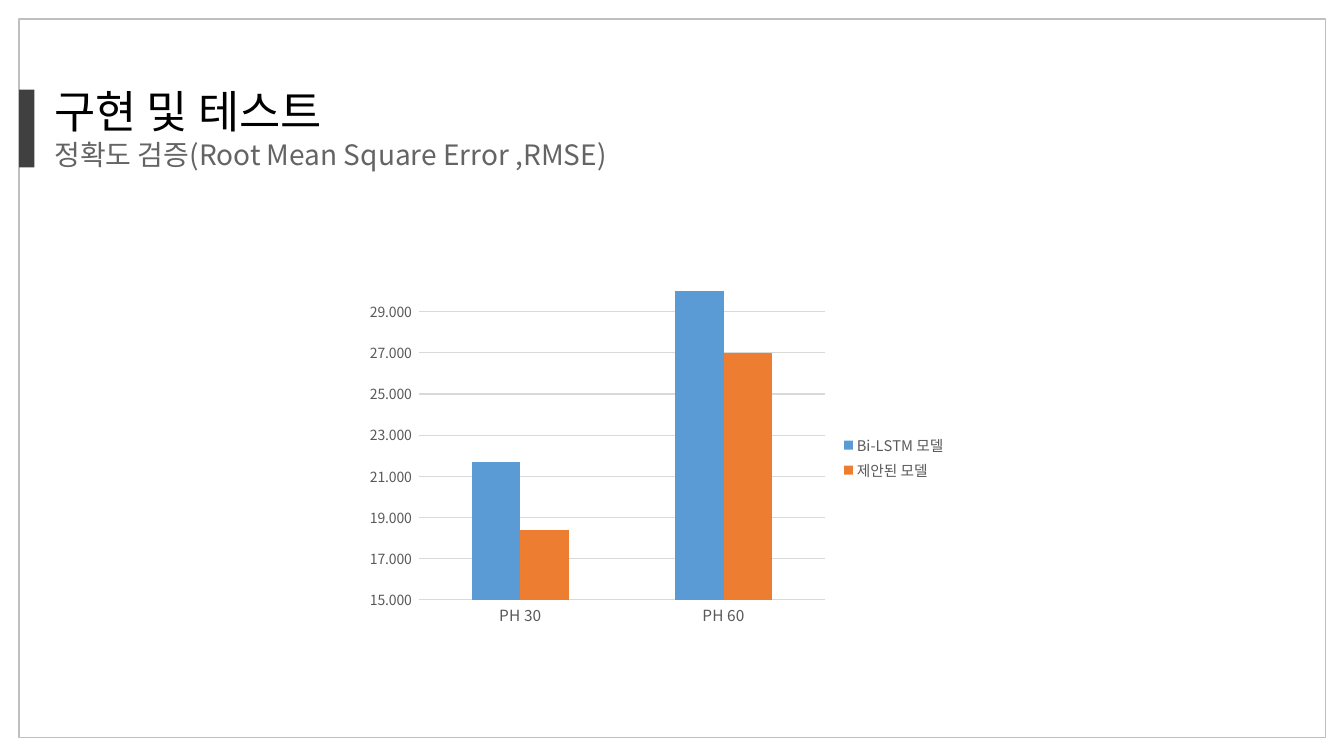
from dataclasses import dataclass

from lxml import etree
from pptx import Presentation
from pptx import util as u
from pptx.chart import data as cd
from pptx.dml.color import RGBColor
from pptx.enum import chart as ec
from pptx.enum import shapes, text
from pptx.oxml import parse_xml
from pptx.oxml.ns import nsdecls, qn


@dataclass(frozen=True)
class Theme:
    font: str = "Noto Sans CJK KR"
    black: str = "000000"
    dark: str = "404040"
    gray: str = "646464"
    label: str = "595959"
    frame: str = "BFBFBF"
    grid: str = "D9D9D9"
    title: float = 32
    sub: float = 20
    cat: float = 11
    val: float = 10
    legend: float = 10.5


@dataclass(frozen=True)
class Box:
    x: float
    y: float
    w: float
    h: float
    fill: str = ""
    line: str = ""

    def place(self) -> tuple:
        return tuple(u.Inches(n) for n in (self.x, self.y, self.w, self.h))


@dataclass(frozen=True)
class Line:
    words: str
    size: float
    color: str


@dataclass(frozen=True)
class Series:
    name: str
    vals: tuple
    color: str


THEME = Theme()
BOXES = (
    Box(0.19, 0.19, 12.96, 7.13, line=THEME.frame),
    Box(0.19, 0.89, 0.15, 0.77, fill=THEME.dark),
)
LINES = (
    Line("구현 및 테스트", THEME.title, THEME.black),
    Line("정확도 검증(Root Mean Square Error ,RMSE)", THEME.sub, THEME.gray),
)
CATS = ("PH 30", "PH 60")
SERIES = (
    Series("Bi-LSTM 모델", (21.7, 36.9), "5B9BD5"),
    Series("제안된 모델", (18.4, 27), "ED7D31"),
)
FORMAT = r"#,##0.000_);[Red]\(#,##0.000\)"
PLOT = {"x": 0.1, "y": 0.02, "w": 0.68, "h": 0.89}


def rgb(code: str) -> RGBColor:
    return RGBColor.from_string(code)


def style(font, size: float, color: str) -> None:
    font.size = u.Pt(size)
    font.name = THEME.font
    font.bold = False
    font.color.rgb = rgb(color)


def asian(root) -> None:
    for latin in list(root.iter(qn("a:latin"))):
        east = etree.Element(qn("a:ea"), typeface=THEME.font)
        latin.addnext(east)


def stroke(line, color: str, width: float) -> None:
    line.color.rgb = rgb(color)
    line.width = u.Pt(width)


def draw_box(slide, box: Box) -> None:
    shape = slide.shapes.add_shape(shapes.MSO_SHAPE.RECTANGLE, *box.place())
    shape.shadow.inherit = False
    if box.fill:
        shape.fill.solid()
        shape.fill.fore_color.rgb = rgb(box.fill)
    else:
        shape.fill.background()
    if box.line:
        stroke(shape.line, box.line, 1)
    else:
        shape.line.fill.background()


def draw_head(slide, box: Box) -> None:
    frame = slide.shapes.add_textbox(*box.place()).text_frame
    frame.word_wrap = True
    frame.auto_size = text.MSO_AUTO_SIZE.SHAPE_TO_FIT_TEXT
    frame.text = "\n".join(line.words for line in LINES)
    for para, line in zip(frame.paragraphs, LINES):
        for run in para.runs:
            style(run.font, line.size, line.color)
            edge = parse_xml(
                f'<a:ln {nsdecls("a")} w="9525"><a:solidFill>'
                f'<a:srgbClr val="{THEME.black}"><a:alpha val="50000"/>'
                "</a:srgbClr></a:solidFill></a:ln>"
            )
            run.font._element.insert(0, edge)
            asian(run.font._element)


def set_plot(chart) -> None:
    area = chart._chartSpace.chart.plotArea
    for old in area.findall(qn("c:layout")):
        area.remove(old)
    modes = "".join(f'<c:{k}Mode val="edge"/>' for k in "xy")
    sizes = "".join(f'<c:{k} val="{v}"/>' for k, v in PLOT.items())
    area.insert(0, parse_xml(
        f'<c:layout {nsdecls("c")}><c:manualLayout>'
        f'<c:layoutTarget val="inner"/>{modes}{sizes}'
        "</c:manualLayout></c:layout>"
    ))


def draw_chart(slide, box: Box) -> None:
    data = cd.CategoryChartData(number_format=FORMAT)
    data.categories = CATS
    for item in SERIES:
        data.add_series(item.name, item.vals)
    kind = ec.XL_CHART_TYPE.COLUMN_CLUSTERED
    chart = slide.shapes.add_chart(kind, *box.place(), data).chart
    chart.has_title = False
    style(chart.font, THEME.val, THEME.black)

    plot = chart.plots[0]
    plot.gap_width = 219
    plot.overlap = 0
    plot.vary_by_categories = False
    for bar, item in zip(plot.series, SERIES):
        bar.format.fill.solid()
        bar.format.fill.fore_color.rgb = rgb(item.color)
        bar.invert_if_negative = False

    cat, val = chart.category_axis, chart.value_axis
    for axis, size in ((cat, THEME.cat), (val, THEME.val)):
        axis.major_tick_mark = ec.XL_TICK_MARK.NONE
        axis.minor_tick_mark = ec.XL_TICK_MARK.NONE
        style(axis.tick_labels.font, size, THEME.label)
    stroke(cat.format.line, THEME.grid, 0.75)
    val.format.line.fill.background()
    val.minimum_scale, val.maximum_scale, val.major_unit = 15, 30, 2
    val.tick_labels.number_format = FORMAT
    val.tick_labels.number_format_is_linked = False
    val.has_major_gridlines = True
    stroke(val.major_gridlines.format.line, THEME.grid, 0.75)

    chart.has_legend = True
    chart.legend.position = ec.XL_LEGEND_POSITION.RIGHT
    chart.legend.include_in_layout = False
    style(chart.legend.font, THEME.legend, THEME.label)
    set_plot(chart)
    asian(chart._chartSpace)


def main() -> None:
    deck = Presentation()
    deck.slide_width, deck.slide_height = u.Inches(13.33), u.Inches(7.5)
    slide = deck.slides.add_slide(deck.slide_layouts[6])
    for box in BOXES:
        draw_box(slide, box)
    draw_head(slide, Box(0.44, 0.78, 6.43, 0.98))
    draw_chart(slide, Box(3.56, 2.82, 5.93, 3.44))
    deck.save("out.pptx")


if __name__ == "__main__":
    main()
